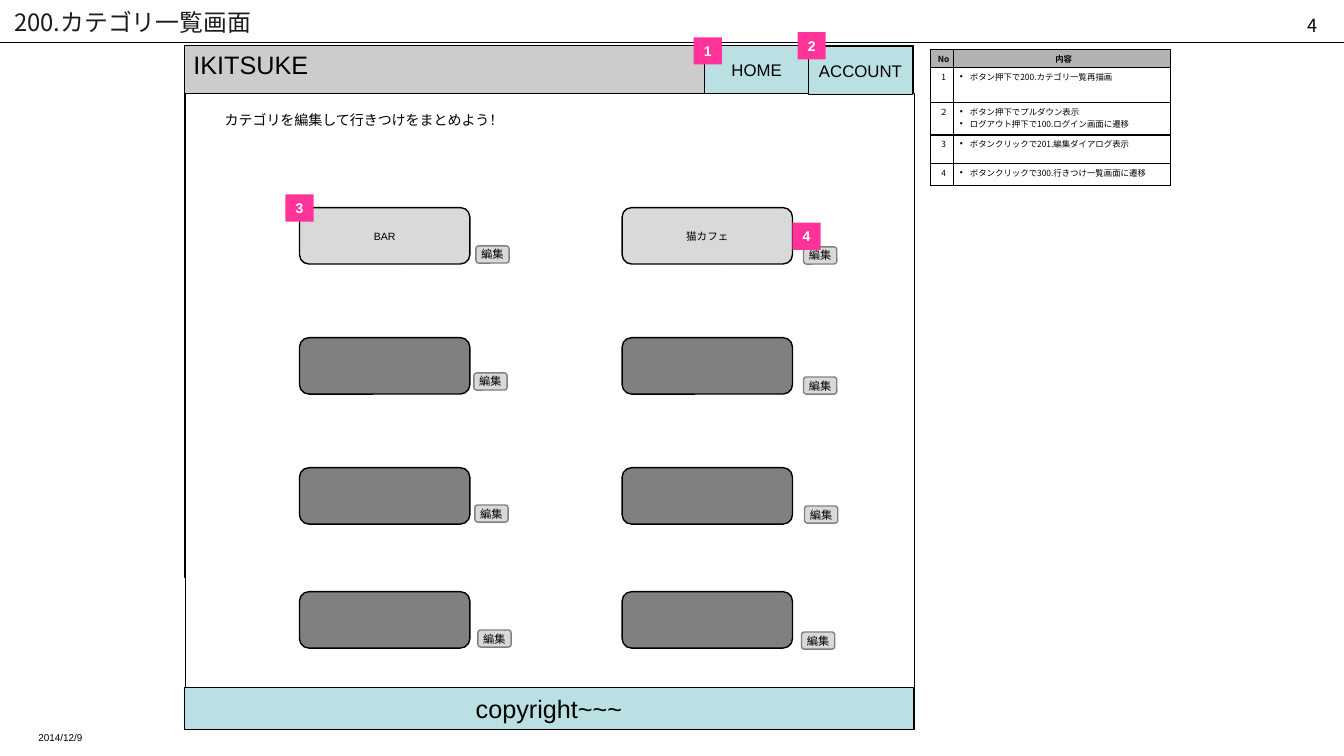
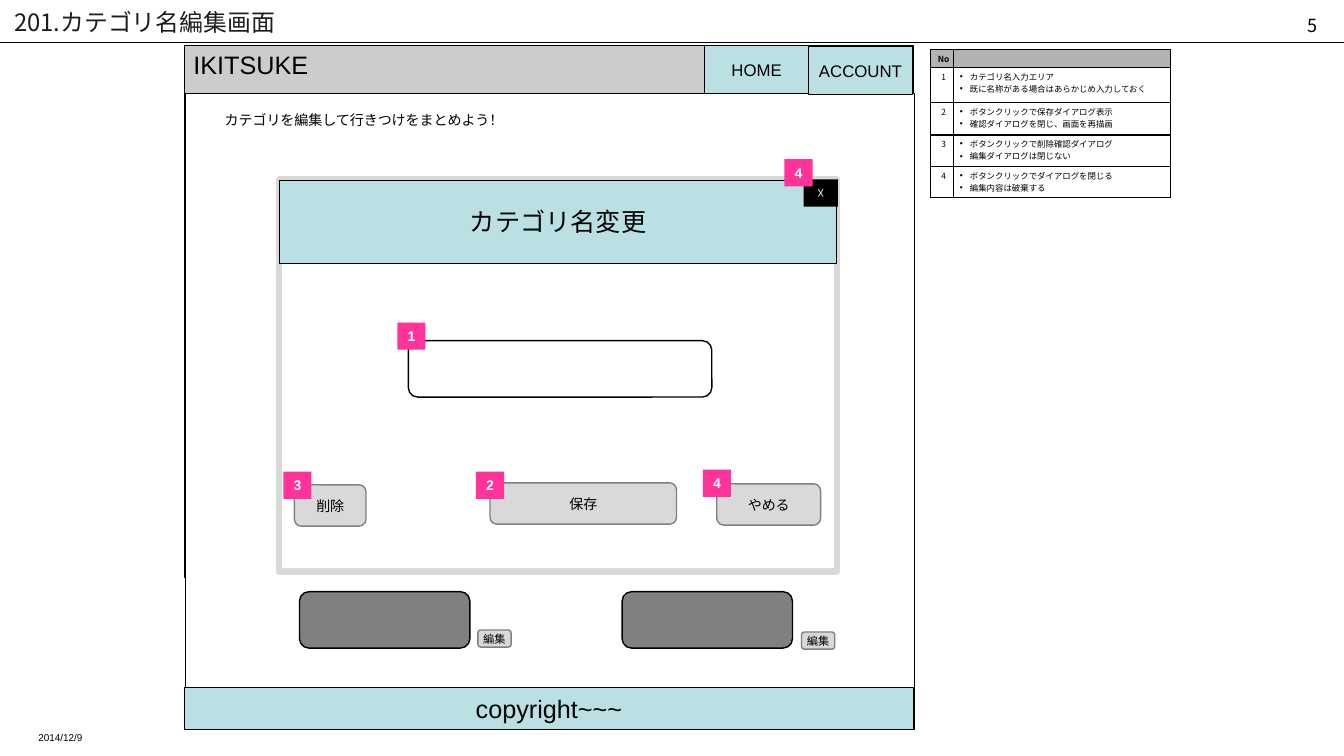
from lxml.etree import SubElement
from pptx import Presentation
from pptx.dml.color import RGBColor
from pptx.enum.shapes import MSO_CONNECTOR, MSO_SHAPE
from pptx.enum.text import MSO_ANCHOR, PP_ALIGN
from pptx.oxml.ns import qn
from pptx.util import Inches, Pt

BLACK = RGBColor(0x00, 0x00, 0x00)
INK = RGBColor(0x1C, 0x1C, 0x1C)
WHITE = RGBColor(0xFF, 0xFF, 0xFF)
HEAD_GREY = RGBColor(0xB2, 0xB2, 0xB2)
BAR_GREY = RGBColor(0xCC, 0xCC, 0xCC)
LIGHT = RGBColor(0xD9, 0xD9, 0xD9)
DARK = RGBColor(0x80, 0x80, 0x80)
TEAL = RGBColor(0xBB, 0xE0, 0xE3)
PINK = RGBColor(0xFF, 0x33, 0x99)
LATIN, CJK = "Arial", "Noto Sans CJK JP"
RECT, ROUND = MSO_SHAPE.RECTANGLE, MSO_SHAPE.ROUNDED_RECTANGLE
LEFT, CENTER, RIGHT = PP_ALIGN.LEFT, PP_ALIGN.CENTER, PP_ALIGN.RIGHT

CARD_X = (2.97, 6.17)
CARD_Y = (2.06, 3.35, 4.64, 5.87)
CARD_W, CARD_H = 1.69, 0.56
MARK_W, MARK_H = 0.28, 0.27

PAGES = [
    {
        "number": "4",
        "title": "200.カテゴリ一覧画面",
        "card_rows": CARD_Y,
        "card_names": ("BAR", "猫カフェ"),
        "edits": [(4.72, 2.44), (7.97, 2.45), (4.7, 3.7), (7.97, 3.74),
                  (4.71, 5.01), (7.98, 5.02), (4.74, 6.25), (7.95, 6.27)],
        "dialog": False,
        "marks": [("1", 6.88, 0.37), ("2", 7.91, 0.32),
                  ("3", 2.83, 1.93), ("4", 7.86, 2.21)],
        "heights": (0.18, 0.35, 0.32, 0.28, 0.22),
        "notes": [
            ("No", "内容"),
            ("1", "ボタン押下で200.カテゴリ一覧再描画"),
            ("２", "ボタン押下でプルダウン表示\nログアウト押下で100.ログイン画面に遷移"),
            ("3", "ボタンクリックで201.編集ダイアログ表示"),
            ("4", "ボタンクリックで300.行きつけ一覧画面に遷移"),
        ],
    },
    {
        "number": "5",
        "title": "201.カテゴリ名編集画面",
        "card_rows": CARD_Y[-1:],
        "card_names": (),
        "edits": [(4.74, 6.25), (7.95, 6.27)],
        "dialog": True,
        "marks": [("1", 3.94, 3.2), ("2", 4.72, 4.68), ("3", 2.81, 4.68),
                  ("4", 7.78, 1.58), ("4", 6.97, 4.66)],
        "heights": (0.18, 0.35, 0.32, 0.31, 0.31),
        "notes": [
            ("No", ""),
            ("1", "カテゴリ名入力エリア\n既に名称がある場合はあらかじめ入力しておく"),
            ("2", "ボタンクリックで保存ダイアログ表示\n確認ダイアログを閉じ、画面を再描画"),
            ("3", "ボタンクリックで削除確認ダイアログ\n編集ダイアログは閉じない"),
            ("4", "ボタンクリックでダイアログを閉じる\n編集内容は破棄する"),
        ],
    },
]


def write(tf, text, size=10, font=LATIN, color=BLACK, bold=False,
          align=CENTER, bullet=False):
    for i, line in enumerate(text.split("\n")):
        p = tf.add_paragraph() if i else tf.paragraphs[0]
        p.alignment = align
        if bullet:
            pPr = p._p.get_or_add_pPr()
            pPr.set("marL", str(Inches(0.1)))
            pPr.set("indent", str(-Inches(0.1)))
            SubElement(pPr, qn("a:buFont"), typeface=LATIN)
            SubElement(pPr, qn("a:buChar"), char="•")
        if not line:
            SubElement(p._p, qn("a:endParaRPr"), sz=str(size * 100))
            continue
        r = p.add_run()
        r.text = line
        r.font.size, r.font.bold, r.font.name = Pt(size), bold, font
        r.font.color.rgb = color
        SubElement(r._r.get_or_add_rPr(), qn("a:ea"), typeface=CJK)


def box(s, x, y, w, h, text="", kind=None, fill=None, line=None, weight=1,
        inset=(0.1, 0.05), wrap=True, anchor=MSO_ANCHOR.MIDDLE, **fmt):
    place = [Inches(v) for v in (x, y, w, h)]
    if kind is None:
        sp = s.shapes.add_textbox(*place)
    else:
        sp = s.shapes.add_shape(kind, *place)
        sp.shadow.inherit = False
        sp.fill.solid()
        sp.fill.fore_color.rgb = fill
        if line is None:
            sp.line.fill.background()
        else:
            sp.line.color.rgb = line
            sp.line.width = Pt(weight)
    if text:
        tf = sp.text_frame
        tf.word_wrap, tf.vertical_anchor = wrap, anchor
        tf.margin_left = tf.margin_right = Inches(inset[0])
        tf.margin_top = tf.margin_bottom = Inches(inset[1])
        write(tf, text, **fmt)


prs = Presentation()
prs.slide_width, prs.slide_height = Inches(13.33), Inches(7.5)

for page in PAGES:
    s = prs.slides.add_slide(prs.slide_layouts[6])

    # Title, rule, page number and date
    rule = s.shapes.add_connector(MSO_CONNECTOR.STRAIGHT, 0, Inches(0.42),
                                  prs.slide_width, Inches(0.42))
    rule.line.color.rgb = BLACK
    rule.line.width = Pt(0.75)
    SubElement(rule._element.spPr, qn("a:effectLst"))
    box(s, 0, 0.04, 12, 0.35, page["title"], inset=(0.14, 0.07), size=17,
        font=CJK, color=INK, align=LEFT)
    box(s, 10.06, 0.09, 3.11, 0.15, page["number"], anchor=MSO_ANCHOR.TOP,
        size=12.9, font=CJK, align=RIGHT)
    box(s, 0.24, 7.2, 3.11, 0.15, "2014/12/9", inset=(0.14, 0.07),
        anchor=MSO_ANCHOR.TOP, size=7.1, align=LEFT)

    # Screen frame
    box(s, 1.83, 0.45, 7.23, 5.28, kind=RECT, fill=BAR_GREY, line=BLACK)
    box(s, 1.84, 0.93, 7.23, 6.31, kind=RECT, fill=WHITE, line=BLACK)
    box(s, 1.82, 0.44, 2.17, 0.4, "IKITSUKE", size=18, align=LEFT)
    box(s, 2.13, 1.05, 3.15, 0.27, "カテゴリを編集して行きつけをまとめよう！",
        align=LEFT)
    for x, y, w, h, label, size in [(8.02, 0.46, 1.03, 0.48, "ACCOUNT", 12),
                                    (6.99, 0.45, 1.03, 0.48, "HOME", 12),
                                    (1.83, 6.82, 7.23, 0.42, "copyright~~~", 18)]:
        box(s, x, y, w, h, label, kind=RECT, fill=TEAL, line=BLACK,
            weight=0.75, wrap=False, size=size)

    # Category cards and their edit buttons
    names = iter(page["card_names"])
    for y in page["card_rows"]:
        for x in CARD_X:
            name = next(names, "")
            box(s, x, y, CARD_W, CARD_H, name, kind=ROUND,
                fill=LIGHT if name else DARK, line=BLACK, size=7.5)
    for x, y in page["edits"]:
        box(s, x, y, 0.33, 0.17, "編集", kind=ROUND, fill=LIGHT, line=DARK,
            inset=(0.04, 0.05), wrap=False, size=8)

    # Rename dialog
    if page["dialog"]:
        box(s, 2.77, 1.78, 5.53, 3.89, kind=RECT, fill=WHITE, line=LIGHT,
            weight=4.5)
        box(s, 2.77, 1.79, 5.53, 0.82, "カテゴリ名変更", kind=RECT, fill=TEAL,
            line=BLACK, weight=0.75, wrap=False, size=18)
        box(s, 7.97, 1.78, 0.34, 0.27, "☓", kind=RECT, fill=BLACK, wrap=False,
            color=WHITE, bold=True)
        box(s, 4.05, 3.38, 3.01, 0.56, kind=ROUND, fill=WHITE, line=BLACK)
        for x, y, w, label in [(2.92, 4.81, 0.71, "削除"),
                               (4.86, 4.79, 1.85, "保存"),
                               (7.11, 4.8, 1.03, "やめる")]:
            box(s, x, y, w, 0.41, label, kind=ROUND, fill=LIGHT, line=DARK)

    # Numbered markers
    for label, x, y in page["marks"]:
        box(s, x, y, MARK_W, MARK_H, label, kind=RECT, fill=PINK, wrap=False,
            color=WHITE, bold=True)

    # Notes table
    notes, heights = page["notes"], page["heights"]
    tbl = s.shapes.add_table(len(notes), 2, Inches(9.23), Inches(0.49),
                             Inches(2.38), Inches(sum(heights))).table
    tbl.first_row = tbl.horz_banding = False
    for col, width in zip(tbl.columns, (0.23, 2.15)):
        col.width = Inches(width)
    for i, (texts, height) in enumerate(zip(notes, heights)):
        tbl.rows[i].height = Inches(height)
        for j, text in enumerate(texts):
            cell = tbl.cell(i, j)
            cell.margin_left, cell.margin_right = Inches(0.06), Inches(0.03)
            cell.margin_top = cell.margin_bottom = Inches(0.03)
            item = i > 0 and j == 1
            write(cell.text_frame, text, size=6, font=CJK, bold=i == 0,
                  align=LEFT if item else CENTER, bullet=item)
            tcPr = cell._tc.get_or_add_tcPr()
            for side in ("a:lnL", "a:lnR", "a:lnT", "a:lnB"):
                ln = SubElement(tcPr, qn(side), w=str(Pt(1)))
                SubElement(SubElement(ln, qn("a:solidFill")),
                           qn("a:srgbClr"), val=str(BLACK))
            cell.fill.solid()
            cell.fill.fore_color.rgb = WHITE if i else HEAD_GREY

prs.save("out.pptx")
